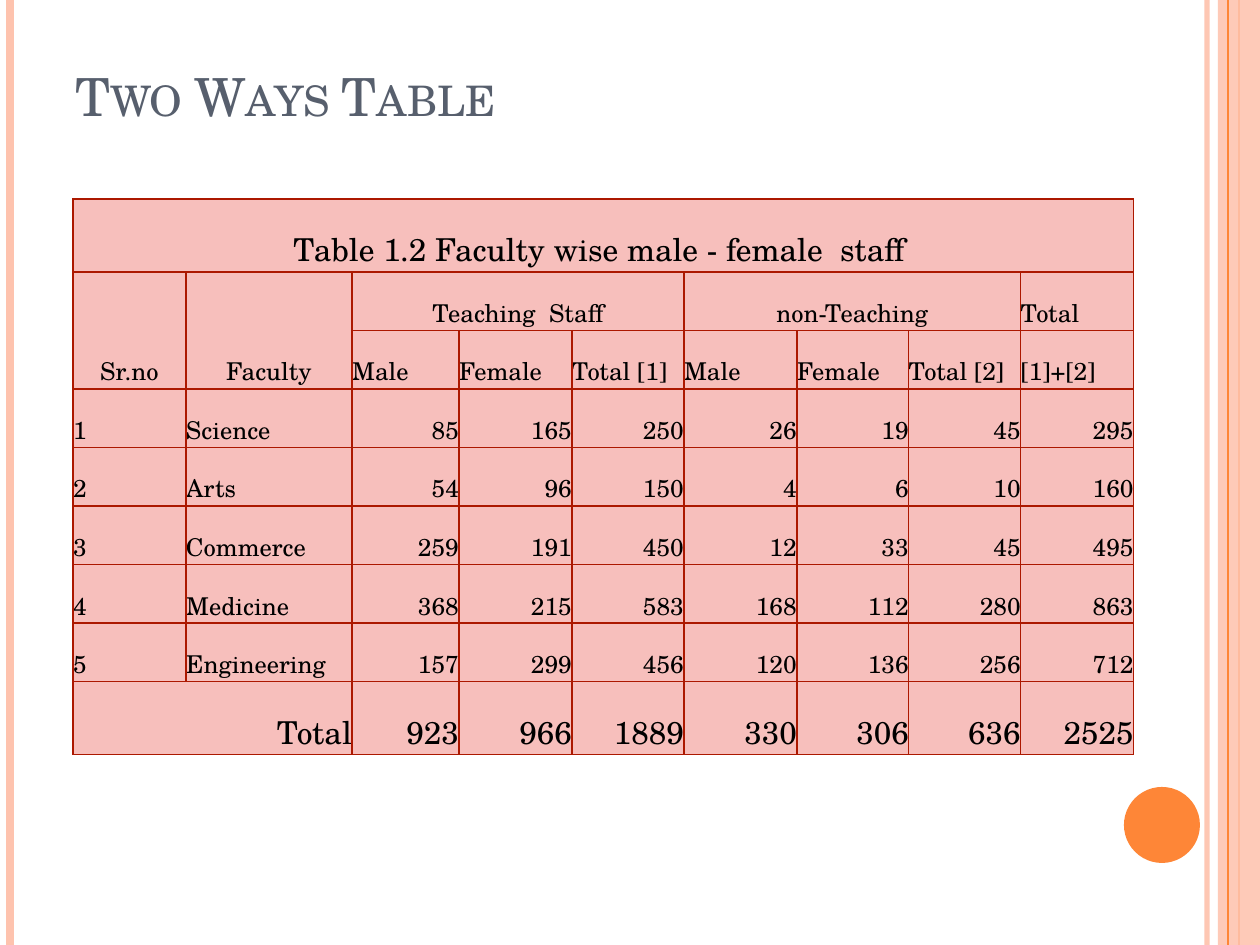
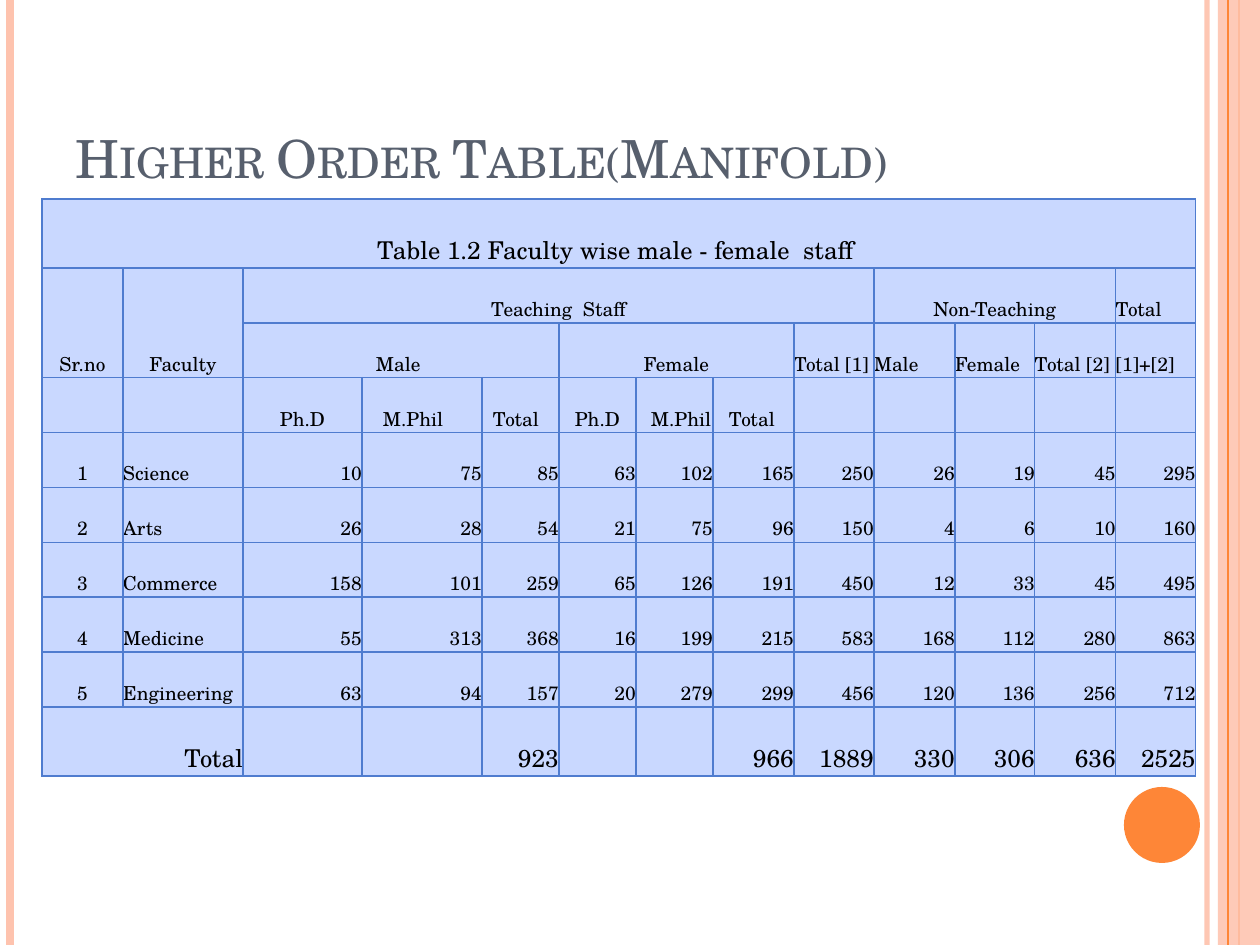
from dataclasses import dataclass, field

from lxml.etree import SubElement
from pptx import Presentation
from pptx.dml.color import RGBColor
from pptx.enum.shapes import MSO_CONNECTOR, MSO_SHAPE
from pptx.enum.text import MSO_ANCHOR, PP_ALIGN
from pptx.oxml import parse_xml
from pptx.oxml.ns import nsdecls, qn
from pptx.util import Emu, Pt

EMU_PER_PIXEL = 914400 / 126
PAGE_WIDTH, PAGE_HEIGHT = 1260, 945
FONT = "TeX Gyre Schola"

SLATE = RGBColor(0x57, 0x5F, 0x6D)
BLACK = RGBColor(0x00, 0x00, 0x00)
PEACH = RGBColor(0xFE, 0xC3, 0xAE)
ORANGE = RGBColor(0xFE, 0x86, 0x37)
ROSE = RGBColor(0xF7, 0xBF, 0xBC)
BRICK = RGBColor(0xAC, 0x18, 0x00)
SKY = RGBColor(0xC9, 0xD8, 0xFF)
BLUE = RGBColor(0x4F, 0x7C, 0xCF)


@dataclass
class Stripe:
    x: int
    color: RGBColor
    points: float
    opacity: int = 100


@dataclass
class Faculty:
    name: str
    male_phd: int
    male_mphil: int
    female_phd: int
    female_mphil: int
    other_male: int
    other_female: int

    @property
    def male(self) -> int:
        return self.male_phd + self.male_mphil

    @property
    def female(self) -> int:
        return self.female_phd + self.female_mphil

    @property
    def summary(self) -> list[int]:
        teaching = self.male + self.female
        other = self.other_male + self.other_female
        return [teaching, self.other_male, self.other_female, other, teaching + other]

    @property
    def two_way(self) -> list[int]:
        return [self.male, self.female, *self.summary]

    @property
    def manifold(self) -> list[int]:
        return [self.male_phd, self.male_mphil, self.male,
                self.female_phd, self.female_mphil, self.female, *self.summary]


@dataclass
class StaffTable:
    left: int
    top: int
    height: int
    caption_height: int
    widths: list[int]
    rows: list[list[str]]
    merges: list[tuple[int, int, int, int]]
    fill: RGBColor
    border: RGBColor
    caption_size: int
    body_size: int
    index_align: PP_ALIGN
    indents: dict[tuple[int, int], int] = field(default_factory=dict)


BEHIND_BAND = [Stripe(1207, PEACH, 3, 93), Stripe(10, PEACH, 4.5), Stripe(1239, ORANGE, 1.5)]
OVER_BAND = Stripe(1228, ORANGE, 0.75)

FACULTIES = [
    Faculty("Science", 10, 75, 63, 102, 26, 19),
    Faculty("Arts", 26, 28, 21, 75, 4, 6),
    Faculty("Commerce", 158, 101, 65, 126, 12, 33),
    Faculty("Medicine", 55, 313, 16, 199, 168, 112),
    Faculty("Engineering", 63, 94, 20, 279, 120, 136),
]
CAPTION = "Table 1.2 Faculty wise male - female  staff "


def px(pixels: float) -> Emu:
    return Emu(round(pixels * EMU_PER_PIXEL))


def set_opacity(color_parent, percent: int) -> None:
    if percent < 100:
        color = color_parent.find(".//" + qn("a:srgbClr"))
        SubElement(color, qn("a:alpha")).set("val", str(percent * 1000))


def add_stripe(page, stripe: Stripe) -> None:
    line = page.shapes.add_connector(
        MSO_CONNECTOR.STRAIGHT, px(stripe.x), 0, px(stripe.x), px(PAGE_HEIGHT))
    line.line.color.rgb = stripe.color
    line.line.width = Pt(stripe.points)
    properties = line._element.spPr
    set_opacity(properties, stripe.opacity)
    SubElement(properties, qn("a:effectLst"))


def add_solid(page, kind: MSO_SHAPE, left: int, top: int, width: int, height: int,
              color: RGBColor, opacity: int = 100) -> None:
    shape = page.shapes.add_shape(kind, px(left), px(top), px(width), px(height))
    shape.shadow.inherit = False
    shape.fill.solid()
    shape.fill.fore_color.rgb = color
    shape.line.fill.background()
    set_opacity(shape._element.spPr, opacity)


def add_frame(page) -> None:
    for stripe in BEHIND_BAND:
        add_stripe(page, stripe)
    add_solid(page, MSO_SHAPE.RECTANGLE, 1218, 0, PAGE_WIDTH - 1218, PAGE_HEIGHT, PEACH, 87)
    add_stripe(page, OVER_BAND)
    add_solid(page, MSO_SHAPE.OVAL, 1124, 787, 76, 76, ORANGE)


def format_run(run, size: int, color: RGBColor) -> None:
    run.font.name = FONT
    run.font.size = Pt(size)
    run.font.color.rgb = color


def set_title(page, text: str, bottom_inset: int) -> None:
    title = page.shapes.title
    title.left, title.top, title.width, title.height = px(63), px(38), px(1029), px(157)
    frame = title.text_frame
    frame.text = text
    frame.word_wrap = True
    frame.vertical_anchor = MSO_ANCHOR.BOTTOM
    frame.margin_bottom = px(bottom_inset)
    para = frame.paragraphs[0]
    para.alignment = PP_ALIGN.LEFT
    for run in para.runs:
        format_run(run, 30, SLATE)
        run._r.get_or_add_rPr().set("cap", "small")


def set_borders(cell, color: RGBColor) -> None:
    properties = cell._tc.get_or_add_tcPr()
    for position, side in enumerate(("lnL", "lnR", "lnT", "lnB")):
        properties.insert(position, parse_xml(
            f'<a:{side} {nsdecls("a")} w="12700"><a:solidFill>'
            f'<a:srgbClr val="{color}"/></a:solidFill></a:{side}>'))


def cell_align(sheet: StaffTable, row: int, column: int, text: str, merged: bool) -> PP_ALIGN:
    if row == len(sheet.rows) - 1:
        return PP_ALIGN.RIGHT
    if merged or text == "Ph.D":
        return PP_ALIGN.CENTER
    if text.isdigit():
        return PP_ALIGN.RIGHT if column else sheet.index_align
    return PP_ALIGN.LEFT


def add_staff_table(page, sheet: StaffTable) -> None:
    last = len(sheet.rows) - 1
    table = page.shapes.add_table(
        len(sheet.rows), len(sheet.widths), px(sheet.left), px(sheet.top),
        px(sum(sheet.widths)), px(sheet.height)).table
    table.first_row = table.horz_banding = False
    for column, width in zip(table.columns, sheet.widths):
        column.width = px(width)
    body_height = (sheet.height - 2 * sheet.caption_height) / (last - 1)
    for index, row in enumerate(table.rows):
        row.height = px(sheet.caption_height if index in (0, last) else body_height)
    for row, column, row_span, column_span in sheet.merges:
        table.cell(row, column).merge(
            table.cell(row + row_span - 1, column + column_span - 1))
    for row, texts in enumerate(sheet.rows):
        size = sheet.caption_size if row in (0, last) else sheet.body_size
        for column in range(len(sheet.widths)):
            cell = table.cell(row, column)
            cell.fill.solid()
            cell.fill.fore_color.rgb = sheet.fill
            cell.vertical_anchor = MSO_ANCHOR.BOTTOM
            cell.margin_left = px(sheet.indents.get((row, column), 0))
            cell.margin_right = cell.margin_top = cell.margin_bottom = 0
            set_borders(cell, sheet.border)
            text = texts[column] if column < len(texts) else ""
            if text:
                cell.text_frame.text = text
                para = cell.text_frame.paragraphs[0]
                para.alignment = cell_align(sheet, row, column, text, cell.is_merge_origin)
                format_run(para.runs[0], size, BLACK)


def data_rows(figures: list[list[int]], totals: list[str]) -> list[list[str]]:
    rows = [[str(number), faculty.name, *map(str, values)]
            for number, (faculty, values) in enumerate(zip(FACULTIES, figures), 1)]
    return rows + [["Total", "", *totals]]


def column_sums(figures: list[list[int]]) -> list[str]:
    return [str(sum(column)) for column in zip(*figures)]


def two_way_table() -> StaffTable:
    figures = [faculty.two_way for faculty in FACULTIES]
    rows = [
        [CAPTION],
        ["Sr.no", "Faculty", "Teaching  Staff", "", "", "non-Teaching", "", "", "Total"],
        ["", "", "Male ", "Female", "Total [1]", "Male ", "Female", "Total [2]", "[1]+[2]"],
    ] + data_rows(figures, column_sums(figures))
    return StaffTable(
        73, 199, 556, 73, [113, 166, 107, 113, 112, 113, 112, 112, 113], rows,
        [(0, 0, 1, 9), (1, 0, 2, 1), (1, 1, 2, 1), (1, 2, 1, 3), (1, 5, 1, 3), (8, 0, 1, 2)],
        ROSE, BRICK, 18, 14, PP_ALIGN.LEFT)


def manifold_table() -> StaffTable:
    figures = [faculty.manifold for faculty in FACULTIES]
    degree_columns = (0, 1, 3, 4)
    totals = ["" if column in degree_columns else total
              for column, total in enumerate(column_sums(figures))]
    rows = [
        [CAPTION],
        ["Sr.no", "Faculty", "Teaching  Staff", *[""] * 6, "Non-Teaching", "", "", "Total"],
        ["", "", "Male ", "", "", "Female", "", "", "Total [1]",
         "Male ", "Female", "Total [2]", "[1]+[2]"],
        ["", "", *["Ph.D", "M.Phil", "Total"] * 2],
    ] + data_rows(figures, totals)
    return StaffTable(
        42, 199, 577, 69, [81, 120, 119, 120, 77, 77, 77, 81, 80, 81, 80, 81, 80], rows,
        [(0, 0, 1, 13), (1, 0, 2, 1), (1, 1, 2, 1), (1, 2, 1, 7), (1, 9, 1, 3),
         (2, 2, 1, 3), (2, 5, 1, 3), (9, 0, 1, 2)],
        SKY, BLUE, 14, 11, PP_ALIGN.CENTER,
        {(3, 3): 21, (3, 4): 11, (3, 6): 15, (3, 7): 16})


def build_deck() -> None:
    deck = Presentation()
    deck.slide_width, deck.slide_height = px(PAGE_WIDTH), px(PAGE_HEIGHT)
    title_only = deck.slide_layouts[5]
    for title, bottom_inset, sheet in (
        ("Two Ways Table", 68, two_way_table()),
        ("Higher Order Table(Manifold)", 6, manifold_table()),
    ):
        page = deck.slides.add_slide(title_only)
        add_frame(page)
        set_title(page, title, bottom_inset)
        add_staff_table(page, sheet)
    deck.save("out.pptx")


build_deck()
